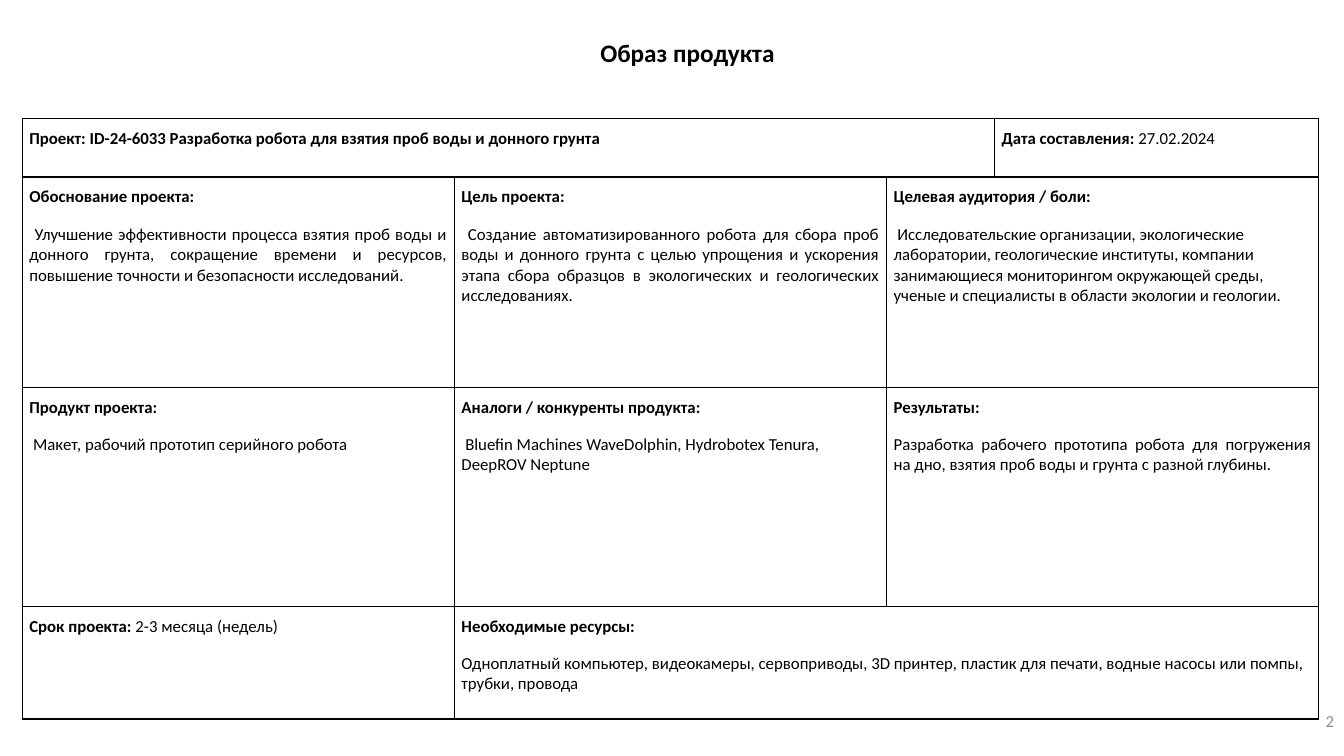
"""Build the product vision slide: a title and a project canvas table."""
from lxml import etree
from pptx import Presentation
from pptx import util as u
from pptx.dml.color import RGBColor
from pptx.enum import text
from pptx.oxml.ns import qn

TITLE = "Образ продукта"
PAGE = "2"
FONT = "Calibri"
COLORS = {"ink": "000000", "page": "8C8C8C"}
LEFT, JUST = text.PP_ALIGN.LEFT, text.PP_ALIGN.JUSTIFY

COLS = [10.89, 10.89, 2.72, 8.17]
ROWS = [1.48, 5.3, 5.52, 2.84]

# row, column, columns spanned, heading, text beside it, text below it, alignment of that text
CELLS = [
    (0, 0, 3, "Проект: ID-24-6033 Разработка робота для взятия проб воды и донного грунта", "", "", LEFT),
    (0, 3, 1, "Дата составления: ", "27.02.2024", "", LEFT),
    (1, 0, 1, "Обоснование проекта:", "",
     " Улучшение эффективности процесса взятия проб воды и донного грунта, сокращение времени "
     "и ресурсов, повышение точности и безопасности исследований.", JUST),
    (1, 1, 1, "Цель проекта:", "",
     " Создание автоматизированного робота для сбора проб воды и донного грунта с целью упрощения "
     "и ускорения этапа сбора образцов в экологических и геологических исследованиях.", JUST),
    (1, 2, 2, "Целевая аудитория / боли:", "",
     " Исследовательские организации, экологические лаборатории, геологические институты, компании "
     "занимающиеся мониторингом окружающей среды, ученые и специалисты в области экологии и геологии.",
     LEFT),
    (2, 0, 1, "Продукт проекта:", "", " Макет, рабочий прототип серийного робота", JUST),
    (2, 1, 1, "Аналоги / конкуренты продукта:", "",
     " Bluefin Machines WaveDolphin, Hydrobotex Tenura, DeepROV Neptune", LEFT),
    (2, 2, 2, "Результаты:", "",
     "Разработка рабочего прототипа робота для погружения на дно, взятия проб воды и грунта "
     "с разной глубины.", JUST),
    (3, 0, 1, "Срок проекта: ", "2-3 месяца (недель)", "", LEFT),
    (3, 1, 3, "Необходимые ресурсы:", "",
     "Одноплатный компьютер, видеокамеры, сервоприводы, 3D принтер, пластик для печати, "
     "водные насосы или помпы, трубки, провода", LEFT),
]


def add_run(p, content, size=12, bold=False, color="ink"):
    r = p.add_run()
    r.text = content
    r.font.name, r.font.size, r.font.bold = FONT, u.Pt(size), bold
    r.font.color.rgb = RGBColor.from_string(COLORS[color])


def add_borders(cell):
    tc_pr = cell._tc.get_or_add_tcPr()
    for side in ("lnL", "lnR", "lnT", "lnB"):
        ln = etree.SubElement(tc_pr, qn(f"a:{side}"), w=str(u.Pt(1)))
        fill = etree.SubElement(ln, qn("a:solidFill"))
        etree.SubElement(fill, qn("a:srgbClr"), val=COLORS["ink"])


def fill_cell(cell, heading, beside, below, align):
    tf = cell.text_frame
    p = tf.paragraphs[0]
    add_run(p, heading, bold=True)
    if beside:
        add_run(p, beside)
    if below:
        p = tf.add_paragraph()
        p.alignment, p.space_before = align, u.Pt(12)
        add_run(p, below)


def add_canvas(s):
    frame = s.shapes.add_table(len(ROWS), len(COLS), u.Cm(0.56), u.Cm(2.98),
                               u.Cm(sum(COLS)), u.Cm(sum(ROWS)))
    table = frame.table
    table.first_row = table.horz_banding = False
    for col, width in zip(table.columns, COLS):
        col.width = u.Cm(width)
    for row, height in zip(table.rows, ROWS):
        row.height = u.Cm(height)
    for cell in table.iter_cells():
        add_borders(cell)
        cell.fill.background()
        cell.margin_left = cell.margin_right = u.Cm(0.18)
        cell.margin_top = cell.margin_bottom = u.Cm(0.25)
    for row, col, span, *content in CELLS:
        cell = table.cell(row, col)
        if span > 1:
            cell.merge(table.cell(row, col + span - 1))
        fill_cell(cell, *content)


def add_title(s):
    sp = s.shapes.title
    sp.left, sp.top, sp.width, sp.height = u.Cm(11.71), u.Cm(0.81), u.Cm(11.23), u.Cm(1.02)
    tf = sp.text_frame
    tf.auto_size = text.MSO_AUTO_SIZE.SHAPE_TO_FIT_TEXT
    tf.vertical_anchor = text.MSO_ANCHOR.TOP
    p = tf.paragraphs[0]
    p.alignment = text.PP_ALIGN.CENTER
    add_run(p, TITLE, size=18, bold=True)


def add_page_number(s):
    sp = s.shapes.add_textbox(u.Cm(26.25), u.Cm(17.66), u.Cm(7.62), u.Cm(1.01))
    tf = sp.text_frame
    tf.word_wrap = True
    tf.vertical_anchor = text.MSO_ANCHOR.MIDDLE
    p = tf.paragraphs[0]
    p.alignment = text.PP_ALIGN.RIGHT
    add_run(p, PAGE, color="page")


def main():
    prs = Presentation()
    prs.slide_width, prs.slide_height = u.Cm(33.87), u.Cm(19.05)
    s = prs.slides.add_slide(prs.slide_layouts[5])
    add_canvas(s)
    add_title(s)
    add_page_number(s)
    prs.save("out.pptx")


if __name__ == "__main__":
    main()
